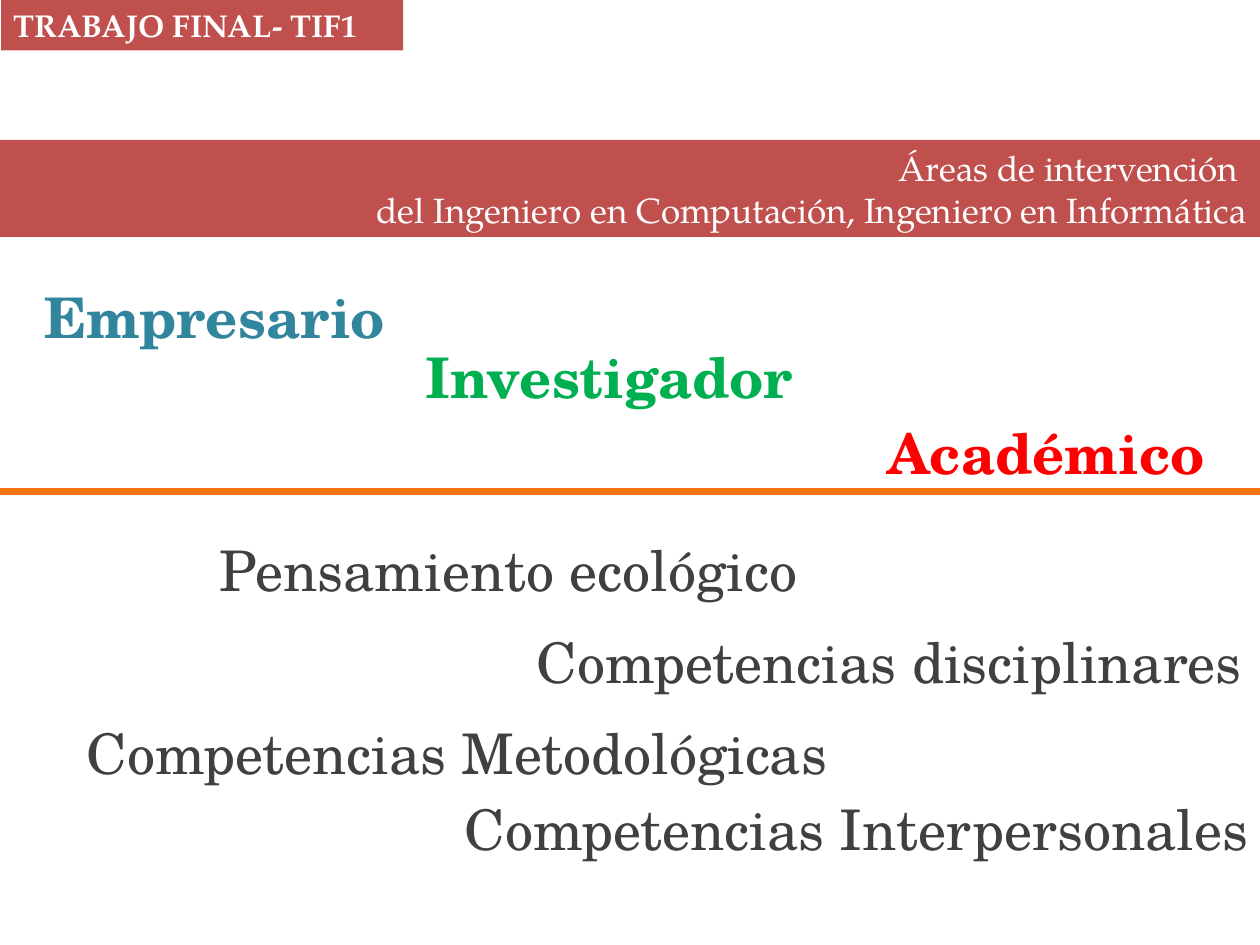
from pptx import Presentation
from pptx.dml.color import RGBColor
from pptx.enum.shapes import MSO_CONNECTOR, MSO_SHAPE
from pptx.enum.text import MSO_ANCHOR, PP_ALIGN
from pptx.oxml.ns import qn
from pptx.util import Inches, Pt
from lxml import etree

THEME = {
    "band": "C0504D",
    "rule": "F47312",
    "rule_width": 4,
    "tag": {"name": "TeX Gyre Pagella", "size": 18, "color": "FFFFFF", "bold": True},
    "title": {"name": "TeX Gyre Pagella", "size": 20, "color": "FFFFFF", "bold": False},
    "role": {"name": "TeX Gyre Schola", "size": 32, "bold": True},
    "skill": {"name": "TeX Gyre Schola", "size": 32, "color": "404040", "bold": False},
}

TAG = "TRABAJO FINAL- TIF1"
TITLE = ["Áreas de intervención ",
         "del Ingeniero en Computación, Ingeniero en Informática"]
# text, left, top, width, colour
ROLES = [
    ("Empresario", 0.21, 2.19, 2.99, "31859C"),
    ("Investigador", 3.22, 2.67, 3.23, "00B050"),
    ("Académico", 6.81, 3.27, 2.99, "FF0000"),
]
# text, left, top, width, alignment
SKILLS = [
    ("Pensamiento ecológico", 0.76, 4.2, 5.67, PP_ALIGN.RIGHT),
    ("Competencias disciplinares", 3.27, 4.93, 6.69, PP_ALIGN.RIGHT),
    ("Competencias Metodológicas", 0.59, 5.65, 6.97, PP_ALIGN.JUSTIFY),
    ("Competencias Interpersonales", 3.59, 6.26, 7.44, PP_ALIGN.JUSTIFY),
]
LINE_HEIGHT = 0.64
RULE_Y = 3.9


def inches(*values):
    return [Inches(v) for v in values]


def write(sp, lines, style, align):
    tf = sp.text_frame
    tf.word_wrap = True
    tf.vertical_anchor = MSO_ANCHOR.TOP
    for i, line in enumerate(lines):
        p = tf.paragraphs[0] if i == 0 else tf.add_paragraph()
        p.alignment = align
        r = p.add_run()
        r.text = line
        for key in ("name", "bold"):
            setattr(r.font, key, style[key])
        r.font.size = Pt(style["size"])
        r.font.color.rgb = RGBColor.from_string(style["color"])


def fill_band(sp):
    sp.fill.solid()
    sp.fill.fore_color.rgb = RGBColor.from_string(THEME["band"])
    sp.line.fill.background()


def add_label(s, text, left, top, width, style, align):
    sp = s.shapes.add_textbox(*inches(left, top, width, LINE_HEIGHT))
    write(sp, [text], style, align)


def main():
    prs = Presentation()
    prs.slide_width, prs.slide_height = inches(10, 7.5)
    s = prs.slides.add_slide(prs.slide_layouts[5])

    title = s.shapes.title
    title.left, title.top, title.width, title.height = inches(0, 1.11, 10, 0.77)
    fill_band(title)
    write(title, TITLE, THEME["title"], PP_ALIGN.RIGHT)

    for text, left, top, width, color in ROLES:
        add_label(s, text, left, top, width,
                  {**THEME["role"], "color": color}, PP_ALIGN.CENTER)
    for text, left, top, width, align in SKILLS:
        add_label(s, text, left, top, width, THEME["skill"], align)

    rule = s.shapes.add_connector(MSO_CONNECTOR.STRAIGHT,
                                  *inches(0, RULE_Y, 10, RULE_Y))
    rule.line.color.rgb = RGBColor.from_string(THEME["rule"])
    rule.line.width = Pt(THEME["rule_width"])
    etree.SubElement(rule._element.spPr, qn("a:effectLst"))

    tag = s.shapes.add_shape(MSO_SHAPE.RECTANGLE, *inches(0.01, 0, 3.19, 0.4))
    tag.shadow.inherit = False
    fill_band(tag)
    write(tag, [TAG], THEME["tag"], PP_ALIGN.LEFT)

    prs.save("out.pptx")


if __name__ == "__main__":
    main()
